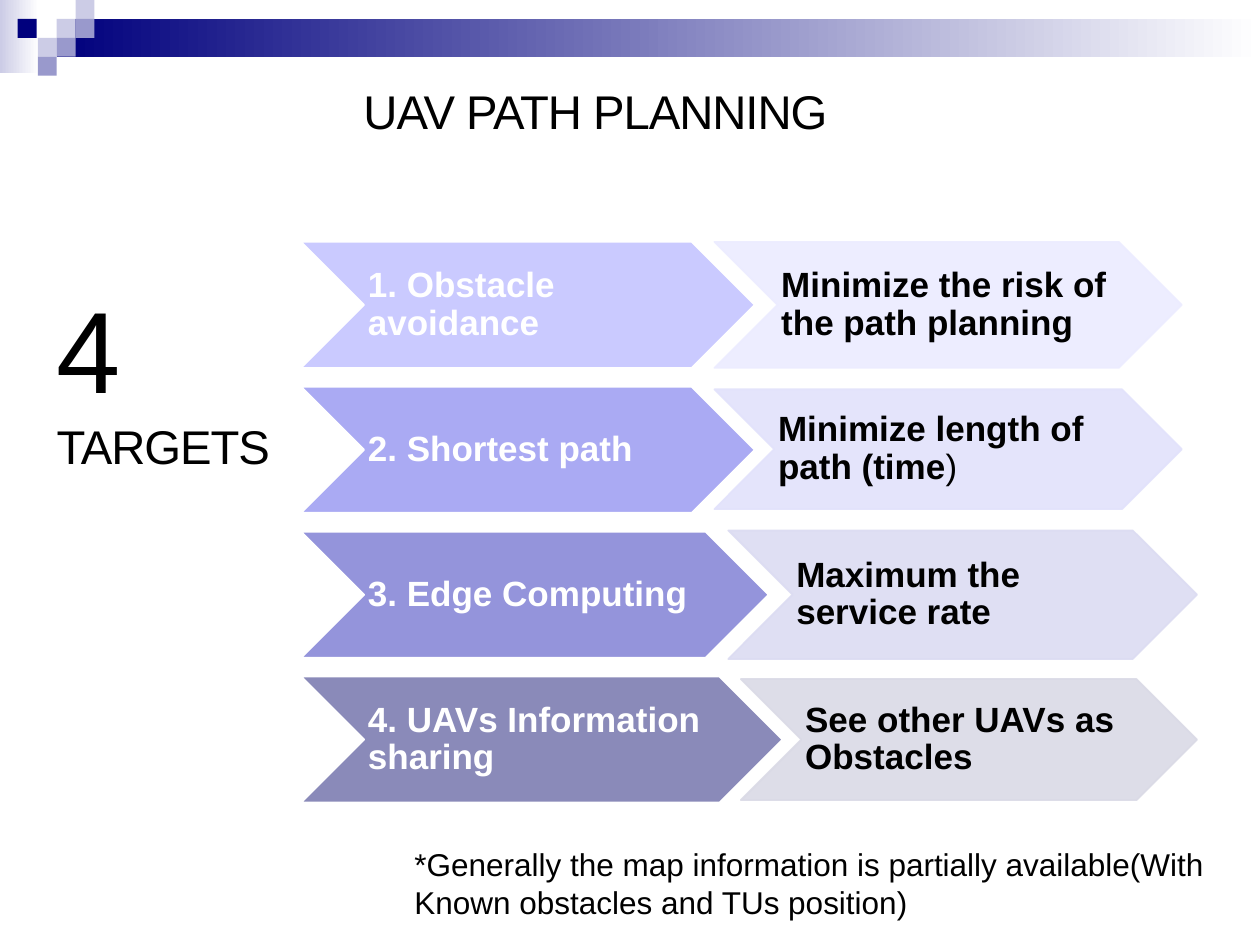
from lxml import etree
from pptx import Presentation
from pptx.dml.color import RGBColor
from pptx.enum.shapes import MSO_SHAPE
from pptx.enum.text import MSO_ANCHOR, MSO_AUTO_SIZE, PP_ALIGN
from pptx.oxml.ns import qn
from pptx.util import Emu, Pt

RECT, CHEVRON = MSO_SHAPE.RECTANGLE, MSO_SHAPE.CHEVRON
MIDDLE, TOP = MSO_ANCHOR.MIDDLE, MSO_ANCHOR.TOP
LEFT, CENTER = PP_ALIGN.LEFT, PP_ALIGN.CENTER
GROW, FIXED = MSO_AUTO_SIZE.SHAPE_TO_FIT_TEXT, MSO_AUTO_SIZE.NONE
BLACK = RGBColor(0x00, 0x00, 0x00)
WHITE = RGBColor(0xFF, 0xFF, 0xFF)
NAVY = RGBColor(0x00, 0x00, 0x7D)
MIST = RGBColor(0xCC, 0xCC, 0xE6)
LILAC = RGBColor(0x99, 0x99, 0xCC)
GOALS = [RGBColor(0xCA, 0xCA, 0xFF), RGBColor(0xAA, 0xAA, 0xF3),
         RGBColor(0x94, 0x94, 0xDB), RGBColor(0x8A, 0x8A, 0xB9)]
MEANS = [RGBColor(0xEC, 0xEC, 0xFF), RGBColor(0xE2, 0xE2, 0xFB),
         RGBColor(0xDC, 0xDC, 0xF2), RGBColor(0xDA, 0xDA, 0xE6)]
PX = 9144


def px(*nums):
    return [Emu(num * PX) for num in nums]


class Deck:
    font = "Arial"

    def __init__(self, wide, high):
        self.file = Presentation()
        self.file.slide_width, self.file.slide_height = px(wide, high)
        self.slide = self.file.slides.add_slide(self.file.slide_layouts[6])

    def shape(self, kind, box):
        item = self.slide.shapes.add_shape(kind, *px(*box))
        item.shadow.inherit = False
        return item

    def block(self, box, color, fade=None):
        item = self.shape(RECT, box)
        item.line.fill.background()
        if fade is None:
            item.fill.solid()
            item.fill.fore_color.rgb = color
            return
        item.fill.gradient()
        item.fill.gradient_angle = 0
        for stop, tint in zip(item.fill.gradient_stops, (color, fade)):
            stop.color.rgb = tint

    def add_runs(self, para, runs, color, space=0):
        for text, size, bold in runs:
            run = para.add_run()
            run.text = text
            run.font.name = self.font
            run.font.size = Pt(size)
            run.font.bold = bold
            run.font.color.rgb = color
            if space:
                run.font._element.set("spc", str(space))

    def label(self, box, lines, align=LEFT, anchor=TOP, wrap=True, fit=GROW, space=0):
        frame = self.slide.shapes.add_textbox(*px(*box)).text_frame
        frame.word_wrap = wrap
        frame.auto_size = fit
        frame.vertical_anchor = anchor
        for num, line in enumerate(lines):
            para = frame.add_paragraph() if num else frame.paragraphs[0]
            para.alignment = align
            self.add_runs(para, [line], BLACK, space)

    def arrow(self, box, runs, fill, line, ink, alpha=None):
        item = self.shape(CHEVRON, box)
        item.fill.solid()
        item.fill.fore_color.rgb = fill
        item.line.color.rgb = line
        item.line.width = Pt(1)
        if alpha:
            for node in item._element.spPr.iter(qn("a:srgbClr")):
                etree.SubElement(node, qn("a:alpha")).set("val", str(alpha * 1000))
        frame = item.text_frame
        frame.word_wrap = True
        frame.vertical_anchor = MIDDLE
        (frame.margin_left, frame.margin_top,
         frame.margin_right, frame.margin_bottom) = px(3, 1, 0, 1)
        para = frame.paragraphs[0]
        para.alignment = LEFT
        para.line_spacing = 0.9
        self.add_runs(para, runs, ink)

    def save(self):
        self.file.save("out.pptx")


def main():
    deck = Deck(1000, 750)

    deck.block((0, 0, 31, 58), MIST, WHITE)
    deck.block((45, 15, 955, 30), NAVY, WHITE)
    tiles = [(45, 15, MIST), (60, 0, MIST), (60, 15, LILAC), (30, 30, MIST),
             (14, 15, NAVY), (45, 30, LILAC), (30, 45, LILAC)]
    for left, top, color in tiles:
        deck.block((left, top, 15, 15), color)

    deck.label((319, 666, 721, 71), [
        ("*Generally the map information is partially available"
         "(With Known obstacles and TUs position)", 18, False)])
    deck.label((59, 13, 827, 150), [("UAV PATH PLANNING", 27, False)],
               align=CENTER, anchor=MIDDLE, fit=FIXED, space=-60)
    deck.label((35, 216, 211, 167), [("4", 66, False), ("TARGETS", 27, False)],
               wrap=False, space=-60)

    rows = [
        (360, "1. Obstacle avoidance", (567, 371, 100),
         [("Minimize the risk of the path planning", 20, True)]),
        (360, "2. Shortest path", (567, 371, 95),
         [("Minimize length of path (time", 20, True), (")", 20, False)]),
        (371, "3. Edge Computing", (578, 372, 102),
         [("Maximum the service rate", 20, True)]),
        (382, "4. UAVs Information sharing", (588, 362, 96),
         [("See other UAVs as Obstacles", 20, True)]),
    ]
    for num, (wide, goal, (left, span, high), means) in enumerate(rows):
        top = 192 + 115 * num
        deck.arrow((239, top, wide, 100), [(goal, 20, True)],
                   GOALS[num], WHITE, WHITE)
        deck.arrow((left, top + (100 - high) // 2, span, high), means,
                   MEANS[num], MEANS[num], BLACK, 90)

    deck.save()


if __name__ == "__main__":
    main()
